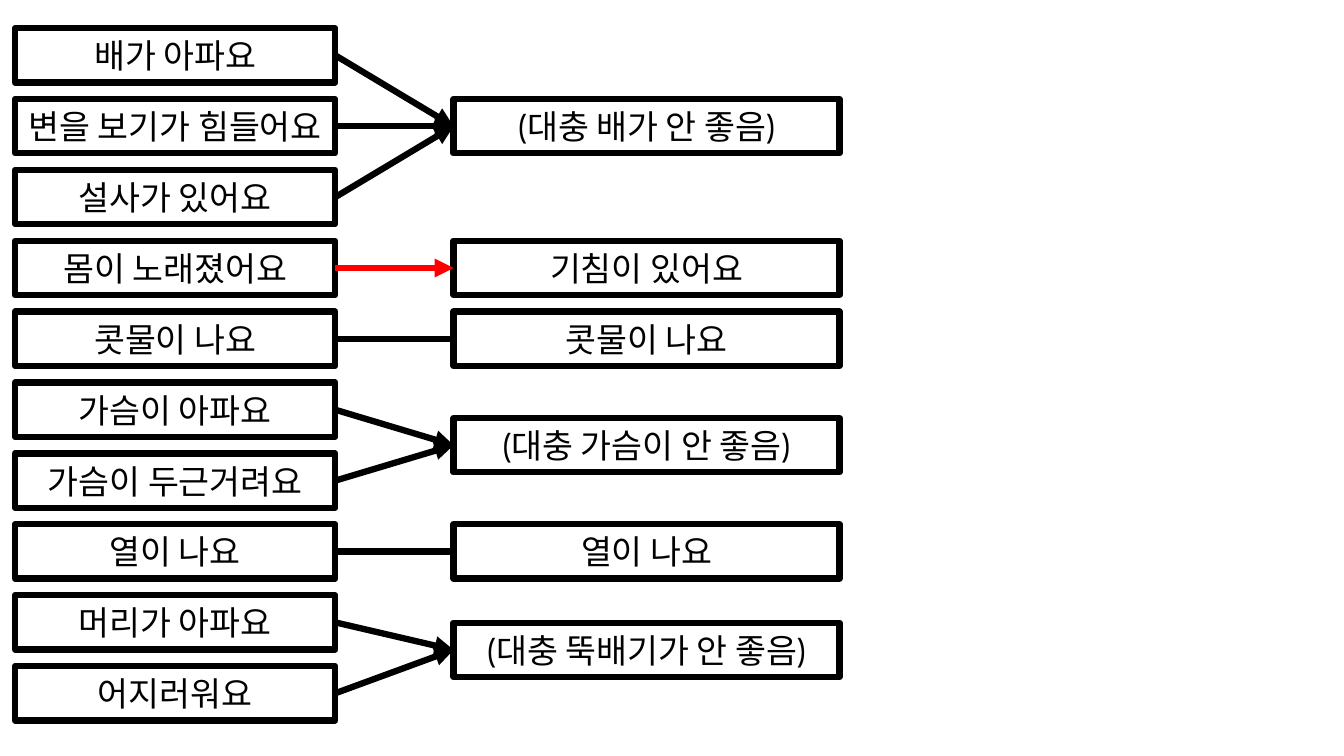
from lxml import etree
from pptx import Presentation
from pptx.dml.color import RGBColor
from pptx.enum.shapes import MSO_CONNECTOR, MSO_SHAPE
from pptx.enum.text import MSO_ANCHOR, PP_ALIGN
from pptx.oxml.ns import qn
from pptx.util import Cm, Pt

RECTANGLE = MSO_SHAPE.RECTANGLE
STRAIGHT = MSO_CONNECTOR.STRAIGHT
MIDDLE = MSO_ANCHOR.MIDDLE
CENTER = PP_ALIGN.CENTER
LEFT_SITE, RIGHT_SITE = 1, 3

BLACK, RED = "000000", "FF0000"
FONT = "Cabin"
LINE_WIDTH = Pt(4.5)

SYMPTOMS = [
    "배가 아파요",
    "변을 보기가 힘들어요",
    "설사가 있어요",
    "몸이 노래졌어요",
    "콧물이 나요",
    "가슴이 아파요",
    "가슴이 두근거려요",
    "열이 나요",
    "머리가 아파요",
    "어지러워요",
]
# text, symptom rows that lead to it, line colour, arrowhead, vertical shift in cm
GROUPS = [
    ("(대충 배가 안 좋음)", (0, 1, 2), BLACK, True, 0),
    ("기침이 있어요", (3,), RED, True, 0),
    ("콧물이 나요", (4,), BLACK, False, 0),
    ("(대충 가슴이 안 좋음)", (5, 6), BLACK, True, 0),
    ("열이 나요", (7,), BLACK, False, 0),
    ("(대충 뚝배기가 안 좋음)", (8, 9), BLACK, True, -0.2),
]

TOP, ROW_STEP, BOX_HEIGHT = 0.71, 1.786, 1.37
SYMPTOM_LEFT, SYMPTOM_WIDTH = 0.38, 8.07
GROUP_LEFT, GROUP_WIDTH = 11.43, 9.73


def color(hex_string):
    """Turn a hex string into a colour."""
    return RGBColor.from_string(hex_string)


def write_text(shape, text, size=24, font=FONT, hex_color=BLACK, align=CENTER):
    """Write one formatted paragraph in the middle of a shape."""
    frame = shape.text_frame
    frame.word_wrap = True
    frame.vertical_anchor = MIDDLE
    paragraph = frame.paragraphs[0]
    paragraph.alignment = align
    run = paragraph.add_run()
    run.text = text
    run.font.size = Pt(size)
    run.font.name = font
    run.font.color.rgb = color(hex_color)


def add_box(slide, text, left, row, width, shift=0):
    """Add an outlined box at a row, which may be fractional."""
    top = TOP + row * ROW_STEP + shift
    box = slide.shapes.add_shape(RECTANGLE, Cm(left), Cm(top), Cm(width), Cm(BOX_HEIGHT))
    box.shadow.inherit = False
    box.fill.background()
    box.line.color.rgb = color(BLACK)
    box.line.width = LINE_WIDTH
    write_text(box, text)
    return box


def add_link(slide, symptom, group, hex_color, arrow):
    """Join a symptom box to a group box, with an arrowhead if wanted."""
    link = slide.shapes.add_connector(STRAIGHT, 0, 0, 0, 0)
    link.begin_connect(symptom, RIGHT_SITE)
    link.end_connect(group, LEFT_SITE)
    link.line.color.rgb = color(hex_color)
    link.line.width = LINE_WIDTH
    properties = link._element.spPr
    if arrow:
        etree.SubElement(properties.find(qn("a:ln")), qn("a:tailEnd"), type="triangle")
    etree.SubElement(properties, qn("a:effectLst"))


def main():
    """Build the slide and save it."""
    presentation = Presentation()
    presentation.slide_width, presentation.slide_height = Cm(33.87), Cm(19.05)
    slide = presentation.slides.add_slide(presentation.slide_layouts[6])

    symptoms = [
        add_box(slide, text, SYMPTOM_LEFT, row, SYMPTOM_WIDTH)
        for row, text in enumerate(SYMPTOMS)
    ]
    for text, rows, hex_color, arrow, shift in GROUPS:
        middle_row = sum(rows) / len(rows)
        group = add_box(slide, text, GROUP_LEFT, middle_row, GROUP_WIDTH, shift)
        for row in rows:
            add_link(slide, symptoms[row], group, hex_color, arrow)

    presentation.save("out.pptx")


main()
